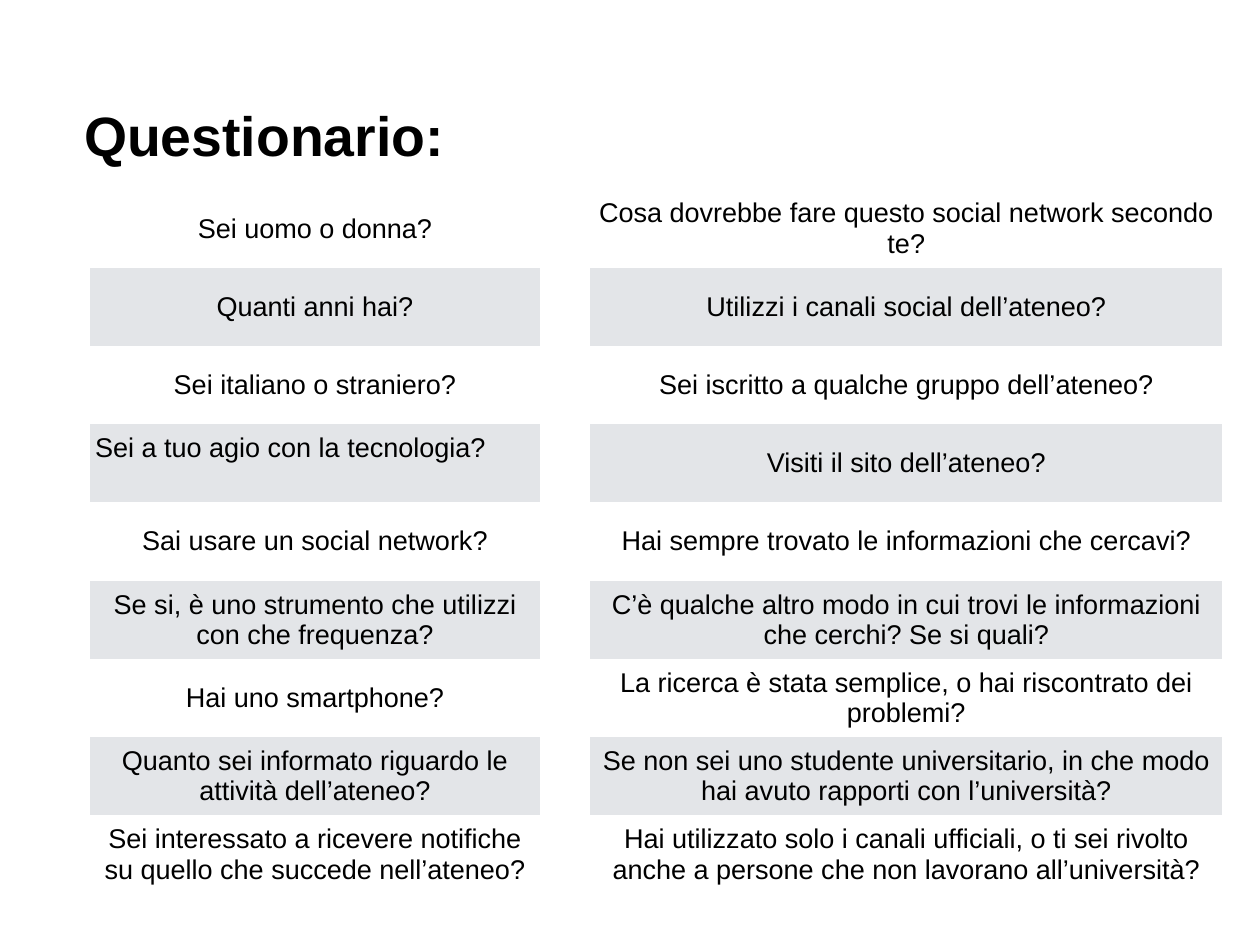
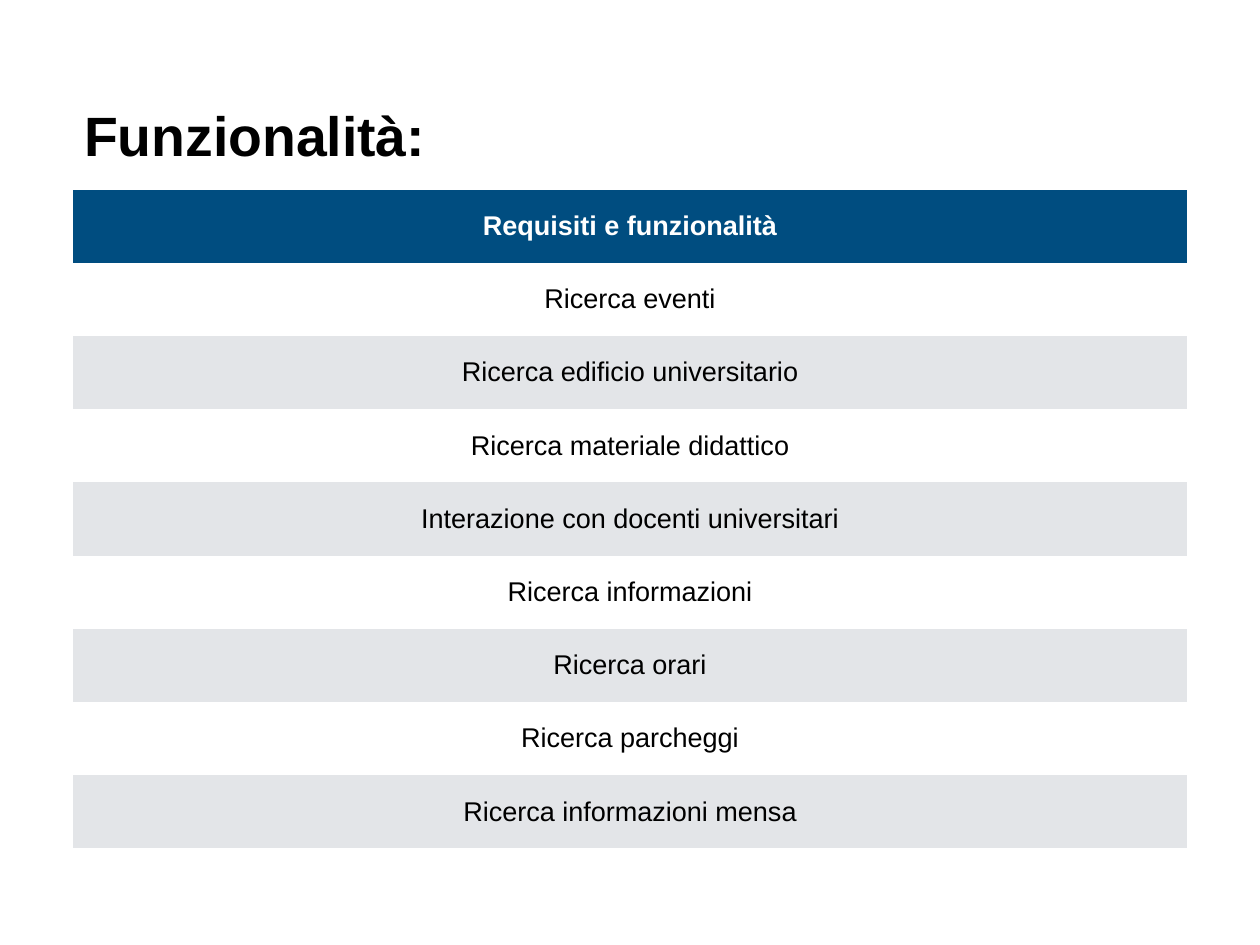
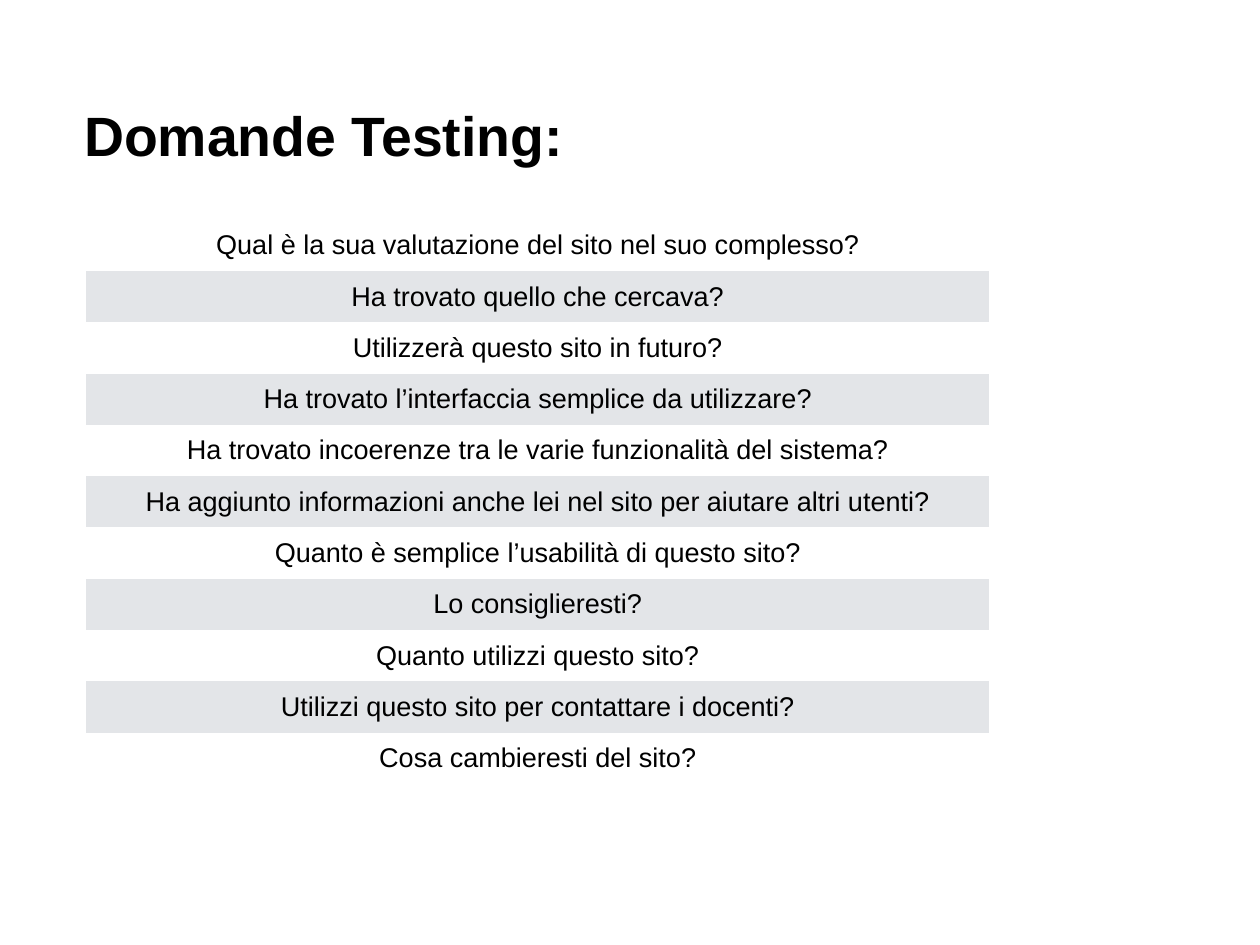
import pptx
import pptx.dml.color
import pptx.enum.text
import pptx.oxml.ns
import pptx.util

Pt = pptx.util.Pt
RGBColor = pptx.dml.color.RGBColor
PP_ALIGN = pptx.enum.text.PP_ALIGN
MSO_ANCHOR = pptx.enum.text.MSO_ANCHOR

# Shared style
BLACK = RGBColor(0x00, 0x00, 0x00)
WHITE = RGBColor(0xFF, 0xFF, 0xFF)
BAND_GREY = RGBColor(0xE3, 0xE5, 0xE8)
HEADER_BLUE = RGBColor(0x00, 0x4D, 0x80)
FONT = "Arial"
TITLE_SIZE = 45
TEXT_SIZE = 22
INSET = 4.3
TEXT_LINE = 25
COLUMNS = 4
PLAIN_TABLE_STYLE = "{2D5ABB26-0587-4C30-8999-92F81FD0307C}"


def add_text(paragraph, text, size, color, bold):
    run = paragraph.add_run()
    run.text = text
    run.font.name = FONT
    run.font.size = Pt(size)
    run.font.bold = bold
    run.font.color.rgb = color


def set_insets(target):
    target.margin_left = target.margin_right = Pt(INSET)
    target.margin_top = target.margin_bottom = Pt(INSET)


# Content of the slides
RAISED_QUESTION = "Sei a tuo agio con la tecnologia?"
PROFILE_QUESTIONS = [
    "Sei uomo o donna?",
    "Quanti anni hai?",
    "Sei italiano o straniero?",
    RAISED_QUESTION,
    "Sai usare un social network?",
    "Se si, è uno strumento che utilizzi con che frequenza?",
    "Hai uno smartphone?",
    "Quanto sei informato riguardo le attività dell’ateneo?",
    "Sei interessato a ricevere notifiche su quello che succede nell’ateneo?",
]
UNIVERSITY_QUESTIONS = [
    "Cosa dovrebbe fare questo social network secondo te?",
    "Utilizzi i canali social dell’ateneo?",
    "Sei iscritto a qualche gruppo dell’ateneo?",
    "Visiti il sito dell’ateneo?",
    "Hai sempre trovato le informazioni che cercavi?",
    "C’è qualche altro modo in cui trovi le informazioni che cerchi? Se si quali?",
    "La ricerca è stata semplice, o hai riscontrato dei problemi?",
    "Se non sei uno studente universitario, in che modo hai avuto rapporti con l’università?",
    "Hai utilizzato solo i canali ufficiali, o ti sei rivolto anche a persone "
    "che non lavorano all’università?",
]
FEATURES = [
    "Requisiti e funzionalità",
    "Ricerca eventi",
    "Ricerca edificio universitario",
    "Ricerca materiale didattico",
    "Interazione con docenti universitari",
    "Ricerca informazioni",
    "Ricerca orari",
    "Ricerca parcheggi",
    "Ricerca informazioni mensa",
]
TESTING_QUESTIONS = [
    "Qual è la sua valutazione del sito nel suo complesso?",
    "Ha trovato quello che cercava?",
    "Utilizzerà questo sito in futuro?",
    "Ha trovato l’interfaccia semplice da utilizzare?",
    "Ha trovato incoerenze tra le varie funzionalità del sistema?",
    "Ha aggiunto informazioni anche lei nel sito per aiutare altri utenti?",
    "Quanto è semplice l’usabilità di questo sito?",
    "Lo consiglieresti?",
    "Quanto utilizzi questo sito?",
    "Utilizzi questo sito per contattare i docenti?",
    "Cosa cambieresti del sito?",
]

# Title, title width, tables (left, top, width, row height, has header, rows)
SLIDES = [
    ("Questionario:", 585, [
        (73, 154, 366, 63.6, False, PROFILE_QUESTIONS),
        (479.5, 154, 514, 63.6, False, UNIVERSITY_QUESTIONS),
    ]),
    ("Funzionalità:", 808, [(59, 154, 906, 59.5, True, FEATURES)]),
    ("Domande Testing:", 808, [(70, 178.5, 734, 41.7, False, TESTING_QUESTIONS)]),
]

presentation = pptx.Presentation()
presentation.slide_width = Pt(1024)
presentation.slide_height = Pt(768)
title_only = presentation.slide_layouts[5]

for title_text, title_width, tables in SLIDES:
    slide = presentation.slides.add_slide(title_only)

    # Title
    title = slide.shapes.title
    title.left, title.top = Pt(64), Pt(78)
    title.width, title.height = Pt(title_width), Pt(62)
    title_frame = title.text_frame
    title_frame.vertical_anchor = MSO_ANCHOR.MIDDLE
    set_insets(title_frame)
    title_frame.paragraphs[0].alignment = PP_ALIGN.LEFT
    add_text(title_frame.paragraphs[0], title_text, TITLE_SIZE, BLACK, True)

    # Banded tables, each row merged across all columns
    for left, top, width, row_height, has_header, rows in tables:
        frame = slide.shapes.add_table(
            len(rows), COLUMNS, Pt(left), Pt(top), Pt(width), Pt(row_height * len(rows)))
        for style in frame.element.iter(pptx.oxml.ns.qn("a:tableStyleId")):
            style.text = PLAIN_TABLE_STYLE
        table = frame.table
        table.first_row = has_header
        table.horz_banding = False

        for row, text in enumerate(rows):
            table.rows[row].height = Pt(row_height)
            cell = table.cell(row, 0)
            cell.merge(table.cell(row, COLUMNS - 1))
            is_header = has_header and row == 0
            is_grey = row % 2 == (0 if has_header else 1)
            cell.fill.solid()
            cell.fill.fore_color.rgb = (
                HEADER_BLUE if is_header else BAND_GREY if is_grey else WHITE)
            cell.vertical_anchor = MSO_ANCHOR.MIDDLE
            set_insets(cell)
            paragraph = cell.text_frame.paragraphs[0]
            paragraph.alignment = PP_ALIGN.CENTER
            if text == RAISED_QUESTION:
                paragraph.alignment = PP_ALIGN.LEFT
                cell.margin_bottom = Pt(INSET + TEXT_LINE)
            add_text(paragraph, text, TEXT_SIZE, WHITE if is_header else BLACK, is_header)

presentation.save("out.pptx")
